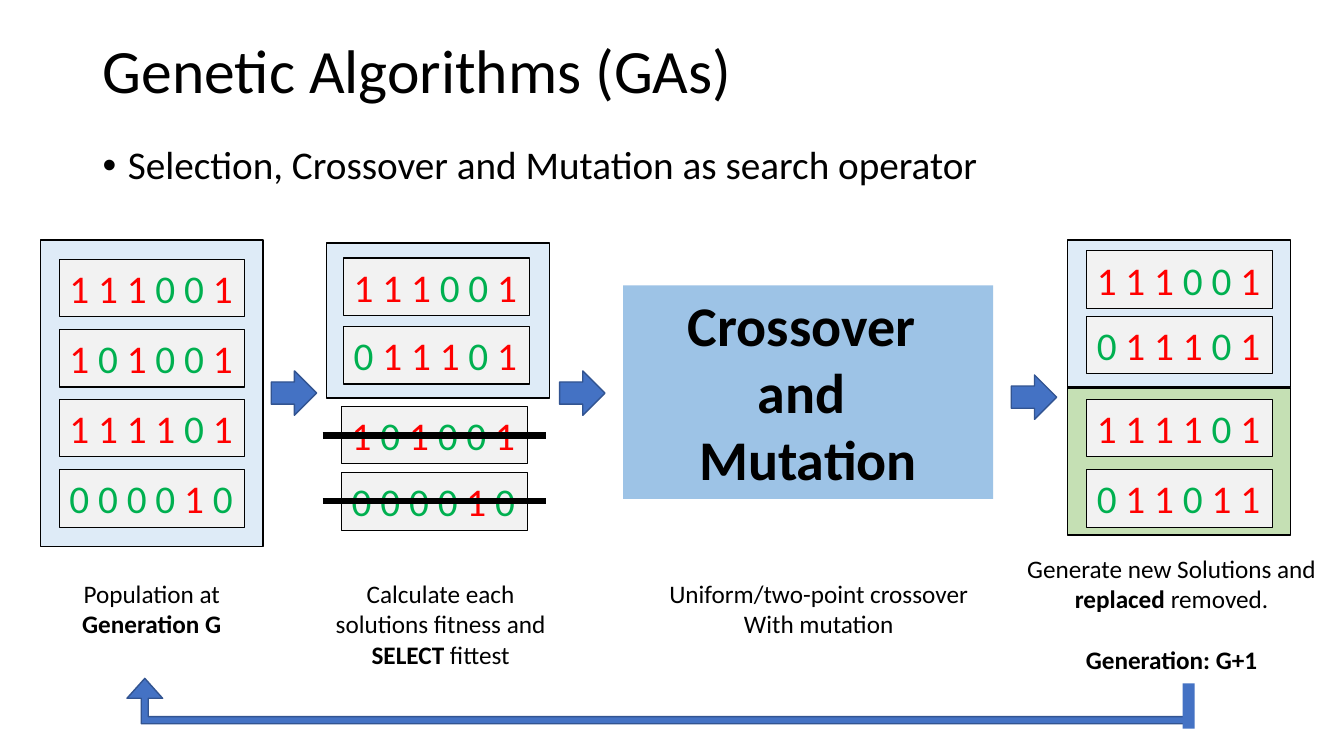
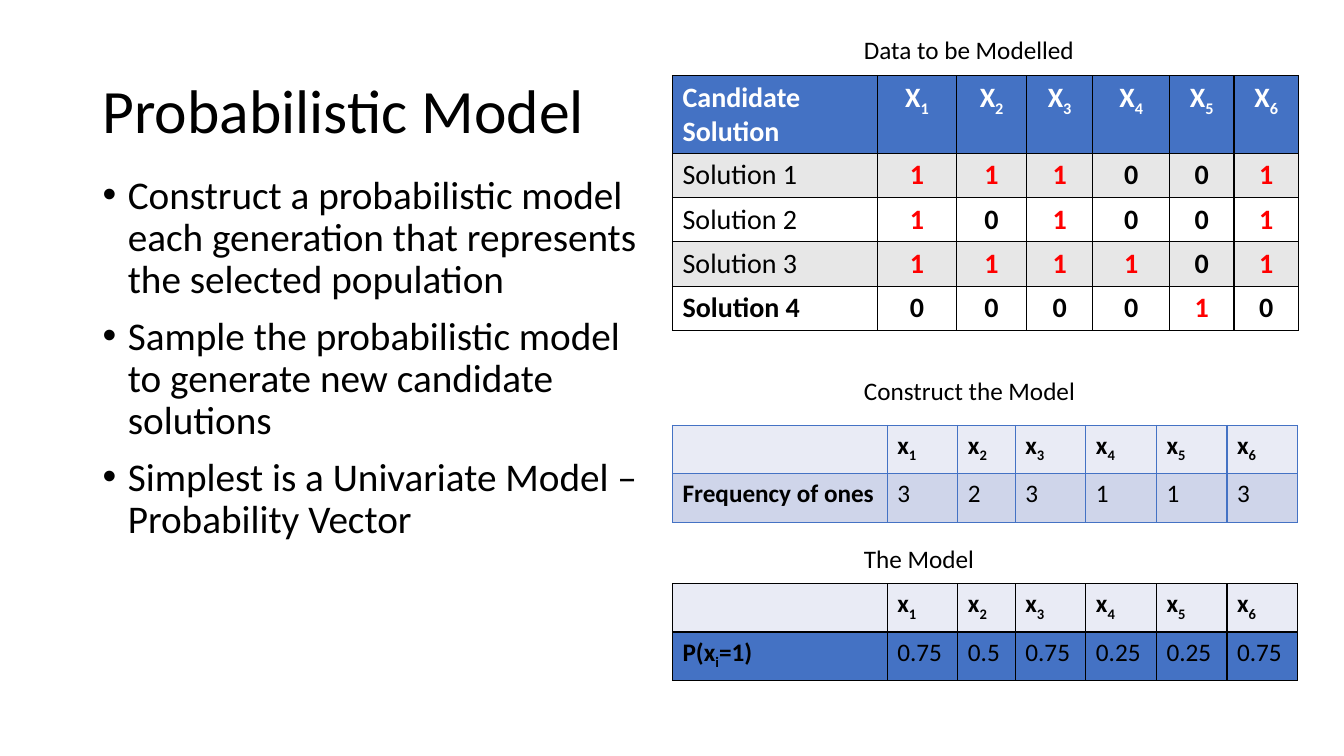
from lxml.etree import SubElement
from pptx import Presentation
from pptx.dml.color import RGBColor
from pptx.enum.shapes import MSO_CONNECTOR, MSO_SHAPE
from pptx.enum.text import MSO_ANCHOR, PP_ALIGN
from pptx.oxml.ns import qn
from pptx.util import Pt

PX = 9144  # EMU per px, 100 px to the inch
FONT = "Calibri"
COLORS = {
    "black": "000000", "white": "FFFFFF", "one": "FF0000", "zero": "00B050",
    "blue": "4472C4", "arrow_line": "325491", "population": "DEEBF7",
    "offspring": "C5E0B4", "genome": "F2F2F2", "operator": "9DC3E6",
    "band": "E7E7E7", "model_header": "E9EBF5", "model_row": "CFD5EA",
}
TITLE = {"size": 44, "line_spacing": 0.9, "anchor": MSO_ANCHOR.MIDDLE}
BODY = {"size": 28, "line_spacing": 0.9, "space_before": 10, "bullet": True}
BOLD = {"bold": True}
SUBSCRIPT = {"subscript": True}


def write_text(frame, paragraphs, size=18, color="black", bold=False, align=PP_ALIGN.LEFT,
               anchor=MSO_ANCHOR.TOP, wrap=True, line_spacing=None, space_before=0,
               space_after=0, bullet=False):
    """Fill a text frame; a paragraph is a string or a list of strings and (text, format) runs."""
    frame.word_wrap = wrap
    frame.vertical_anchor = anchor
    for index, runs in enumerate(paragraphs):
        paragraph = frame.paragraphs[0] if index == 0 else frame.add_paragraph()
        paragraph.alignment = align
        paragraph.line_spacing = line_spacing
        paragraph.space_before = Pt(space_before)
        paragraph.space_after = Pt(space_after)
        if bullet:
            properties = paragraph._p.get_or_add_pPr()
            properties.set("marL", str(25 * PX))
            properties.set("indent", str(-25 * PX))
            SubElement(properties, qn("a:buFont"), typeface="Arial")
            SubElement(properties, qn("a:buChar"), char="•")
        for part in [runs] if isinstance(runs, str) else runs:
            text, style = (part, {}) if isinstance(part, str) else part
            run = paragraph.add_run()
            run.text = text
            run.font.name = FONT
            run.font.size = Pt(size)
            run.font.bold = style.get("bold", bold)
            run.font.color.rgb = RGBColor.from_string(COLORS[style.get("color", color)])
            if style.get("subscript"):
                run.font._element.set("baseline", "-25000")


def add_box(slide, box, fill=None, line=None, line_width=1, kind=MSO_SHAPE.RECTANGLE):
    """Add a shape, or a plain text box when there is no fill; box is left, top, width, height."""
    lengths = [value * PX for value in box]
    if fill is None:
        return slide.shapes.add_textbox(*lengths)
    shape = slide.shapes.add_shape(kind, *lengths)
    shape.shadow.inherit = False
    shape.fill.solid()
    shape.fill.fore_color.rgb = RGBColor.from_string(COLORS[fill])
    if line:
        shape.line.color.rgb = RGBColor.from_string(COLORS[line])
        shape.line.width = Pt(line_width)
    else:
        shape.line.fill.background()
    return shape


presentation = Presentation()
presentation.slide_width = 1333 * PX
presentation.slide_height = 750 * PX
blank = presentation.slide_layouts[6]

# Slide 1: genetic algorithm cycle
slide = presentation.slides.add_slide(blank)
write_text(add_box(slide, (92, 0, 1150, 145)).text_frame, ["Genetic Algorithms (GAs)"], **TITLE)
write_text(add_box(slide, (92, 140, 893, 58)).text_frame,
           ["Selection, Crossover and Mutation as search operator"], **BODY)

panels = [
    ((40, 238, 221, 304), "population"),
    ((324, 241, 221, 154), "population"),
    ((1059, 385, 221, 146), "offspring"),
    ((1059, 238, 221, 146), "population"),
]
for box, fill in panels:
    add_box(slide, box, fill, "black")

genome_columns = [
    (59, [(257, "111001"), (327, "101001"), (396, "111101"), (466, "000010")]),
    (341, [(256, "111001"), (324, "011101")]),
    (339, [(403, "101001"), (469, "000010")]),
    (1078, [(249, "111001"), (314, "011101"), (396, "111101"), (466, "011011")]),
]
for left, genomes in genome_columns:
    for top, bits in genomes:
        shape = add_box(slide, (left, top, 184, 57), "genome", "black", 0.75)
        runs = [(bit, {"color": "one" if bit == "1" else "zero"}) for bit in " ".join(bits)]
        write_text(shape.text_frame, [runs], size=28)

for top in (432, 497):
    strike = slide.shapes.add_connector(MSO_CONNECTOR.STRAIGHT,
                                        320 * PX, top * PX, 542 * PX, top * PX)
    strike.line.color.rgb = RGBColor.from_string(COLORS["black"])
    strike.line.width = Pt(4.75)
    SubElement(strike._element.spPr, qn("a:effectLst"))

operator = add_box(slide, (618, 283, 367, 212), "operator")
write_text(operator.text_frame, ["Crossover ", "and ", "Mutation"],
           size=40, bold=True, align=PP_ALIGN.CENTER)

for left, top in [(269, 368), (555, 368), (1003, 372)]:
    add_box(slide, (left, top, 45, 44), "blue", "arrow_line", kind=MSO_SHAPE.RIGHT_ARROW)

captions = [
    ((40, 569, 221, 71), [["Population at ", ("Generation G", BOLD)]], 0),
    ((320, 569, 234, 101),
     [["Calculate each solutions fitness and ", ("SELECT", BOLD), " fittest"]], 0),
    ((652, 569, 320, 71), ["Uniform/two-point crossover", "With mutation"], 0),
    ((1003, 544, 318, 131),
     [["Generate new Solutions and ", ("replaced", BOLD), " removed."],
      [("Generation: G+1", BOLD)]], 22),
]
for box, paragraphs, space_after in captions:
    write_text(add_box(slide, box).text_frame, paragraphs,
               align=PP_ALIGN.CENTER, space_after=space_after)

return_arrow = add_box(slide, (126, 673, 1057, 45), "blue", "arrow_line",
                       kind=MSO_SHAPE.BENT_UP_ARROW)
for index, value in enumerate((0.155, 0.393, 0.44)):
    return_arrow.adjustments[index] = value
return_arrow._element.spPr.find(qn("a:xfrm")).set("flipH", "1")
add_box(slide, (1173, 678, 12, 45), "blue")

# Slide 2: probabilistic model
slide = presentation.slides.add_slide(blank)
write_text(add_box(slide, (92, 40, 1150, 145)).text_frame, ["Probabilistic Model"], **TITLE)
write_text(add_box(slide, (92, 169, 558, 506)).text_frame, [
    "Construct a probabilistic model each generation that represents the selected population",
    "Sample the probabilistic model to generate new candidate solutions",
    "Simplest is a Univariate Model – Probability Vector",
], **BODY)

for top, label in [(29, "Data to be Modelled"), (367, "Construct the Model"), (534, "The Model")]:
    write_text(add_box(slide, (847, top, 232, 40)).text_frame, [label], wrap=False)

variables = {letter: [[letter, (str(number), SUBSCRIPT)] for number in range(1, 7)]
             for letter in "Xx"}
heading = {"size": 20, "bold": True, "color": "white"}
centered = {"size": 20, "bold": True, "align": PP_ALIGN.CENTER}

data_rows = [[("Candidate Solution", heading)]
             + [(name, heading | centered) for name in variables["X"]]]
solutions = ["111001", "101001", "111101", "000010"]
for number, bits in enumerate(solutions, start=1):
    label_format = {"size": 20, "bold": number == len(solutions)}
    data_rows.append([(f"Solution {number}", label_format)]
                     + [(bit, centered | {"color": "one" if bit == "1" else "black"})
                        for bit in bits])

model_header = [("", BOLD)] + [(name, BOLD) for name in variables["x"]]
frequency_row = [("Frequency of ones", BOLD)] + [(value, {}) for value in "323113"]
probabilities = ["0.75", "0.5", "0.75", "0.25", "0.25", "0.75"]
probability_row = ([(["P(x", ("i", SUBSCRIPT), "=1)"], BOLD)]
                   + [(value, {}) for value in probabilities])

data_columns = [203, 79, 69, 66, 76, 64, 64]
model_columns = [213, 70, 57, 70, 70, 70, 70]
tables = [
    (75, data_columns, [77, 44, 44, 44, 44], "black",
     ["blue", "band", "white", "band", "white"], data_rows),
    (422, model_columns, [48, 48], "blue",
     ["model_header", "model_row"], [model_header, frequency_row]),
    (579, model_columns, [48, 48], "black",
     ["model_header", "blue"], [model_header, probability_row]),
]
for top, widths, heights, border, fills, rows in tables:
    table = slide.shapes.add_table(len(rows), len(widths), 667 * PX, top * PX,
                                   sum(widths) * PX, sum(heights) * PX).table
    table.first_row = table.horz_banding = False
    for column, width in zip(table.columns, widths):
        column.width = width * PX
    for row, height, fill, contents in zip(table.rows, heights, fills, rows):
        row.height = height * PX
        for cell, (text, style) in zip(row.cells, contents):
            properties = cell._tc.get_or_add_tcPr()
            for side in "LRTB":
                edge = SubElement(properties, qn(f"a:ln{side}"), w=str(Pt(1)))
                SubElement(SubElement(edge, qn("a:solidFill")), qn("a:srgbClr"),
                           val=COLORS[border])
            cell.fill.solid()
            cell.fill.fore_color.rgb = RGBColor.from_string(COLORS[fill])
            if text:
                write_text(cell.text_frame, [text], **style)

presentation.save("out.pptx")
